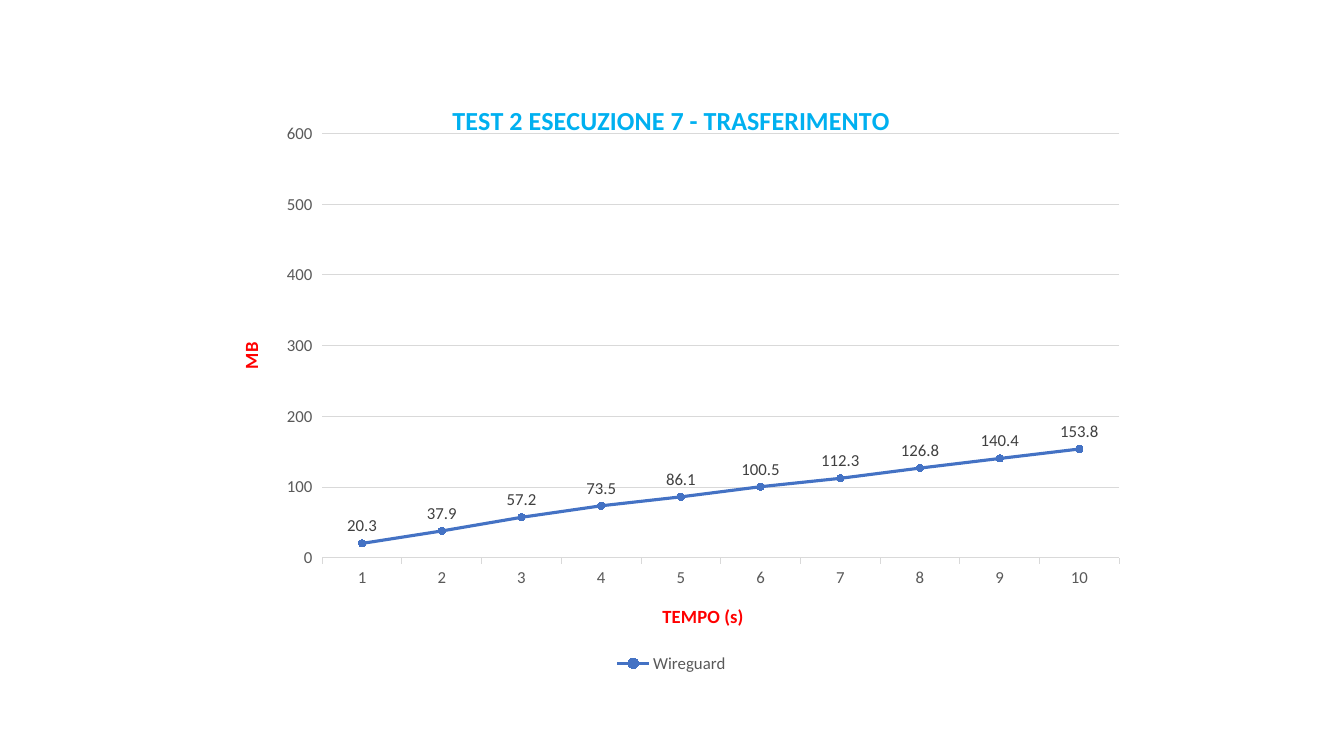
from pptx import Presentation
from pptx.chart.data import CategoryChartData
from pptx.dml.color import RGBColor
from pptx.enum.chart import XL_CHART_TYPE as ChartType
from pptx.enum.chart import XL_LABEL_POSITION as LabelPosition
from pptx.enum.chart import XL_LEGEND_POSITION as LegendPosition
from pptx.enum.chart import XL_MARKER_STYLE as MarkerStyle
from pptx.enum.chart import XL_TICK_MARK as TickMark
from pptx.oxml import parse_xml
from pptx.oxml.ns import nsdecls
from pptx.util import Cm, Pt

BLUE = RGBColor(0x44, 0x72, 0xC4)
CYAN = RGBColor(0x00, 0xB0, 0xF0)
RED = RGBColor(0xFF, 0x00, 0x00)
GREY = RGBColor(0x59, 0x59, 0x59)
DARK_GREY = RGBColor(0x40, 0x40, 0x40)
LIGHT_GREY = RGBColor(0xD9, 0xD9, 0xD9)

MEGABYTES = [20.3, 37.9, 57.2, 73.5, 86.1, 100.5, 112.3, 126.8, 140.4, 153.8]
PLOT_AREA = {"x": 0.11, "y": 0.09, "w": 0.89, "h": 0.71}


def set_attributes(target, values):
    for name, value in values.items():
        setattr(target, name, value)


def style_font(font, size, color, bold=False):
    set_attributes(font, {"name": "Calibri", "size": Pt(size), "bold": bold})
    font.color.rgb = color


def style_line(line, color, width):
    line.color.rgb = color
    line.width = Pt(width)


def add_title(owner, text, size, color):
    """Title a chart or an axis."""
    frame = owner.chart_title if hasattr(owner, "chart_title") else owner.axis_title
    paragraph = frame.text_frame.paragraphs[0]
    run = paragraph.add_run()
    run.text = text
    style_font(run.font, size, color, bold=True)


def style_axis(axis, title, values):
    set_attributes(axis, values)
    style_font(axis.tick_labels.font, 12, GREY)
    add_title(axis, title, 13.3, RED)


def place_plot(chart):
    """Fix the inner plot area as fractions of the chart."""
    sizes = "".join(f'<c:{key} val="{value}"/>' for key, value in PLOT_AREA.items())
    layout = parse_xml(
        f'<c:layout {nsdecls("c")}><c:manualLayout><c:layoutTarget val="inner"/>'
        f'<c:xMode val="edge"/><c:yMode val="edge"/>{sizes}'
        "</c:manualLayout></c:layout>")
    plot_area = chart.plots[0]._element.getparent()
    for old_layout in plot_area.findall(layout.tag):
        plot_area.remove(old_layout)
    plot_area.insert(0, layout)


def style_series(series):
    series.smooth = False
    style_line(series.format.line, BLUE, 2.25)
    set_attributes(series.marker, {"style": MarkerStyle.CIRCLE, "size": 5})
    series.marker.format.fill.solid()
    series.marker.format.fill.fore_color.rgb = BLUE
    style_line(series.marker.format.line, BLUE, 0.75)
    labels = series.data_labels
    set_attributes(labels, {"show_value": True, "position": LabelPosition.ABOVE})
    style_font(labels.font, 12, DARK_GREY)


def add_transfer_chart(slide):
    data = CategoryChartData()
    data.categories = [str(second) for second in range(1, len(MEGABYTES) + 1)]
    data.add_series("Wireguard", MEGABYTES)
    chart = slide.shapes.add_chart(
        ChartType.LINE_MARKERS, Cm(5.64), Cm(2.01), Cm(22.58), Cm(15.06), data).chart
    style_font(chart.font, 10, GREY)
    add_title(chart, "TEST 2 ESECUZIONE 7 - TRASFERIMENTO", 18.6, CYAN)
    chart.chart_title.include_in_layout = False
    chart.plots[0].vary_by_categories = False
    place_plot(chart)
    style_series(chart.plots[0].series[0])

    # Axes and grid
    time_axis, size_axis = chart.category_axis, chart.value_axis
    style_axis(time_axis, "TEMPO (s)", {"major_tick_mark": TickMark.OUTSIDE})
    style_line(time_axis.format.line, LIGHT_GREY, 0.75)
    style_axis(size_axis, "MB", {
        "minimum_scale": 0, "maximum_scale": 600, "major_unit": 100,
        "major_tick_mark": TickMark.OUTSIDE, "has_major_gridlines": True})
    size_axis.format.line.fill.background()
    style_line(size_axis.major_gridlines.format.line, LIGHT_GREY, 0.75)

    # Legend
    chart.has_legend = True
    set_attributes(chart.legend, {
        "position": LegendPosition.BOTTOM, "include_in_layout": False})
    style_font(chart.legend.font, 12, GREY)


def main():
    deck = Presentation()
    set_attributes(deck, {"slide_width": Cm(33.87), "slide_height": Cm(19.05)})
    slide = deck.slides.add_slide(deck.slide_layouts[6])
    add_transfer_chart(slide)
    deck.save("out.pptx")


if __name__ == "__main__":
    main()
